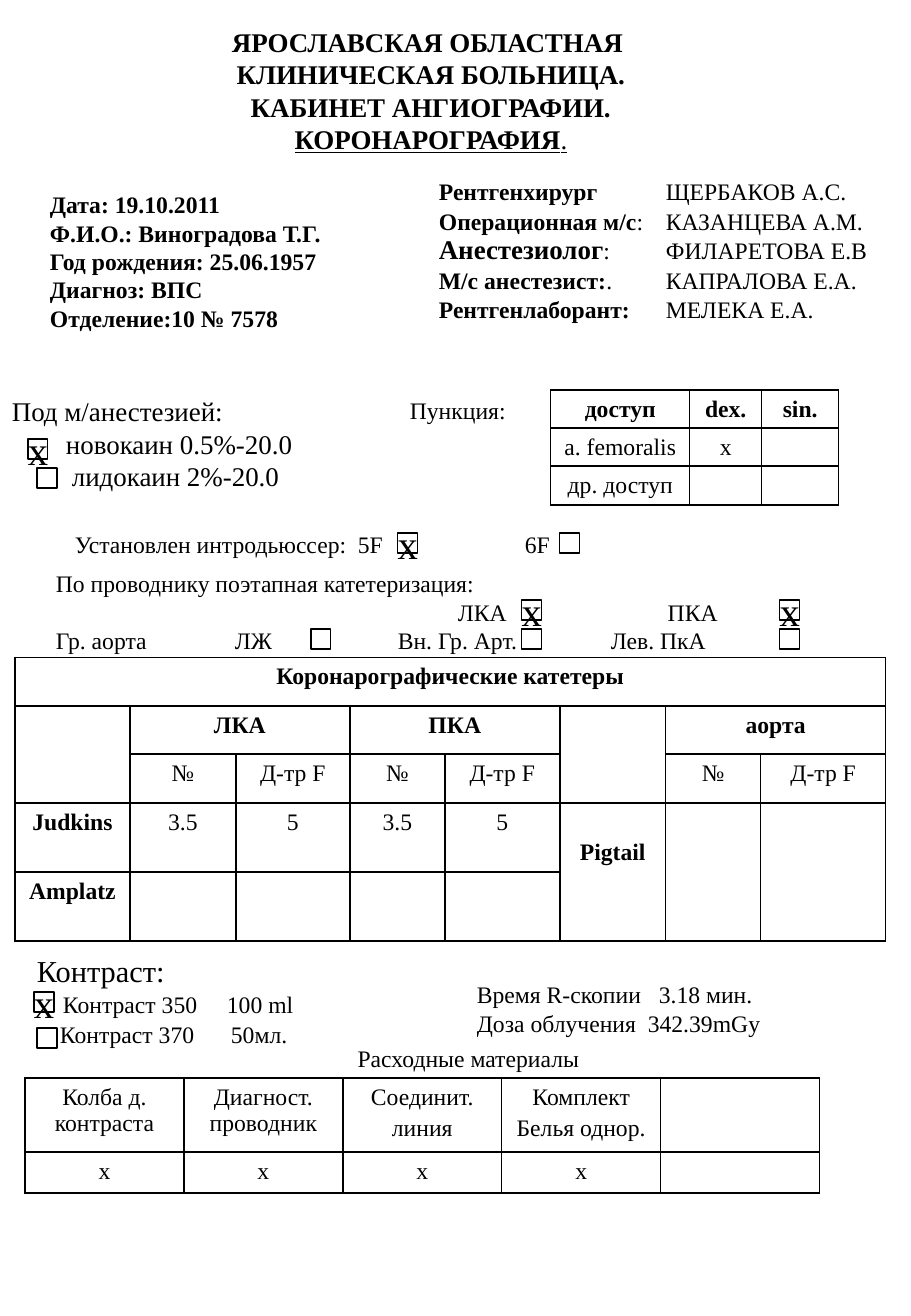
from lxml import etree
from pptx import Presentation
from pptx import util as u
from pptx.dml.color import RGBColor
from pptx.enum import shapes, text
from pptx.oxml.ns import qn

SCALE = 7526  # EMU per px
COLORS = {"ink": "000000"}
INK = RGBColor.from_string(COLORS["ink"])
FONT = "Times New Roman"
LEFT, CENTER = text.PP_ALIGN.LEFT, text.PP_ALIGN.CENTER
TOP, MIDDLE = text.MSO_ANCHOR.TOP, text.MSO_ANCHOR.MIDDLE


def px(n):
    return u.Emu(n * SCALE)


def write(tf, lines, size=14, bold=False, align=LEFT, pitch=None, gap=0):
    """Each line is a string, or (runs of (text, bold), tab stops in px)."""
    for i, line in enumerate(lines):
        runs, stops = ([(line, None)], []) if isinstance(line, str) else line
        p = tf.paragraphs[0] if i == 0 else tf.add_paragraph()
        if stops:
            tabs = etree.SubElement(p._p.get_or_add_pPr(), qn("a:tabLst"))
            for stop in stops:
                etree.SubElement(tabs, qn("a:tab"), pos=str(px(stop)), algn="l")
        p.alignment = align
        if pitch:
            p.line_spacing = u.Pt(round(size * pitch, 1))
        if gap and i:
            p.space_before = u.Pt(gap)
        p.font.name, p.font.size, p.font.bold = FONT, u.Pt(size), bold
        p.font.color.rgb = INK
        for content, run_bold in runs:
            if content:
                r = p.add_run()
                r.text = content
                if run_bold is not None:
                    r.font.bold = run_bold
            else:
                etree.SubElement(p._p, qn("a:endParaRPr"), sz=str(size * 100))


prs = Presentation()
prs.slide_width, prs.slide_height = u.Inches(7.5), u.Inches(10.83)
s = prs.slides.add_slide(prs.slide_layouts[6])

# Text blocks: left, top, width, height, anchor, text options, lines
staff = [("Рентгенхирург", "", "ЩЕРБАКОВ А.С."),
         ("Операционная м/с", ":", "КАЗАНЦЕВА А.М."),
         ("Анестезиолог", ":", "ФИЛАРЕТОВА Е.В"),
         ("М/с анестезист:", ".", "КАПРАЛОВА Е.А."),
         ("Рентгенлаборант:", "", "МЕЛЕКА Е.А.")]
staff_lines = [([(role, True), (f"{mark}\t{name}", False)], [227])
               for role, mark, name in staff]
blocks = {
    "title": (21, 0, 820, 180, MIDDLE, dict(size=16, bold=True, align=CENTER, pitch=1.2),
              ["ЯРОСЛАВСКАЯ ОБЛАСТНАЯ ", "КЛИНИЧЕСКАЯ БОЛЬНИЦА.", "КАБИНЕТ АНГИОГРАФИИ.",
               ([("КОРОНАРОГРАФИЯ", None), (".", False)], [])]),
    "patient": (38, 146, 373, 230, MIDDLE, dict(bold=True, pitch=1.2),
                ["Дата: 19.10.2011", "Ф.И.О.: Виноградова Т.Г.", "Год рождения: 25.06.1957",
                 "Диагноз: ВПС", "Отделение:10 № 7578"]),
    "staff": (427, 170, 456, 159, TOP, dict(pitch=1.25), staff_lines),
    "anesthesia": (0, 389, 416, 110, TOP, dict(size=16, pitch=1.2),
                   ["Под м/анестезией:",
                    ([("\tновокаин 0.5%-20.0", None)], [54]),
                    ([("\tлидокаин 2%-20.0", None)], [60])]),
    "puncture": (398, 390, 120, 40, TOP, dict(pitch=1.2), ["Пункция:"]),
    "introducer": (63, 524, 768, 40, TOP, dict(pitch=1.2),
                   [([("Установлен интродьюссер:\t5F\t6F", None)], [283, 450])]),
    "catheterization": (44, 563, 842, 97, TOP, dict(pitch=1.2),
                        ["По проводнику поэтапная катетеризация:",
                         ([("\tЛКА\tПКА", None)], [402, 612]),
                         ([("Гр. аорта\tЛЖ\tВн. Гр. Арт.\tЛев. ПкА", None)],
                          [179, 342, 555])]),
    "contrast": (25, 945, 452, 110, TOP, dict(pitch=1.25),
                 ["Контраст:",
                  ([("\tКонтраст 350\t100 ml", None)], [26, 190]),
                  ([("\tКонтраст 370\t50мл.", None)], [23, 194])]),
    "dose": (465, 974, 379, 69, TOP, dict(pitch=1.2),
             [([("Время R-скопии\t3.18 мин.", None)], [182]),
              ([("Доза облучения\t342.39mGy", None)], [171])]),
    "supplies": (57, 1038, 823, 40, TOP, dict(align=CENTER, pitch=1.2),
                 ["Расходные материалы"]),
}
frames = {}
for name, (x, y, w, h, anchor, options, lines) in blocks.items():
    tf = s.shapes.add_textbox(px(x), px(y), px(w), px(h)).text_frame
    tf.word_wrap = True
    tf.vertical_anchor = anchor
    write(tf, lines, **options)
    frames[name] = tf

# Emphasis inside the blocks
for r in frames["title"].paragraphs[3].runs:
    r.font.underline = True
frames["staff"].paragraphs[2].runs[0].font.size = u.Pt(16)
heading = frames["contrast"].paragraphs[0]
heading.font.size, heading.line_spacing = u.Pt(18), u.Pt(22.5)

# Tables
BOLD = {"доступ", "dex.", "sin.", "Коронарографические катетеры", "ЛКА", "ПКА",
        "аорта", "Judkins", "Amplatz", "Pigtail"}
tables = [
    # Access
    dict(at=(551, 390), cols=[139, 72, 77], rows=[38, 38, 39], outer=0.75, merges=[],
         cells=[["доступ", "dex.", "sin."],
                ["a. femoralis", "х", ""],
                ["др. доступ", "", ""]]),
    # Coronary catheters
    dict(at=(15, 657), cols=[115, 106, 114, 95, 115, 106, 95, 125],
         rows=[49, 48, 49, 69, 69], outer=0.75,
         merges=[(0, 0, 0, 7), (1, 0, 2, 0), (1, 1, 1, 2), (1, 3, 1, 4), (1, 5, 2, 5),
                 (1, 6, 1, 7), (3, 5, 4, 5), (3, 6, 4, 6), (3, 7, 4, 7)],
         cells=[["Коронарографические катетеры"] + [""] * 7,
                ["", "ЛКА", "", "ПКА", "", "", "аорта", ""],
                ["", "№", "Д-тр F", "№", "Д-тр F", "", "№", "Д-тр F"],
                ["Judkins", "3.5", "5", "3.5", "5", "Pigtail", "", ""],
                ["Amplatz"] + [""] * 7]),
    # Supplies
    dict(at=(25, 1078), cols=[159] * 5, rows=[74, 41], outer=1, merges=[],
         cells=[["Колба д. контраста", "Диагност. проводник", "Соединит.\nлиния",
                 "Комплект\nБелья однор.", ""],
                ["х"] * 4 + [""]]),
]
for t in tables:
    cols, rows = t["cols"], t["rows"]
    table = s.shapes.add_table(len(rows), len(cols), *map(px, t["at"]),
                               px(sum(cols)), px(sum(rows))).table
    table.first_row = table.horz_banding = False
    for col, w in zip(table.columns, cols):
        col.width = px(w)
    for row, h in zip(table.rows, rows):
        row.height = px(h)
    for r1, c1, r2, c2 in t["merges"]:
        table.cell(r1, c1).merge(table.cell(r2, c2))
    for i, row in enumerate(t["cells"]):
        for j, label in enumerate(row):
            cell = table.cell(i, j)
            cell.margin_top = px(36 if label == "Pigtail" else 6)
            cell.margin_bottom = px(3)
            write(cell.text_frame, label.split("\n"), bold=label in BOLD,
                  align=CENTER, gap=2.8)
            edges = {"L": j == 0, "R": j == len(cols) - 1,
                     "T": i == 0, "B": i == len(rows) - 1}
            tcPr = cell._tc.get_or_add_tcPr()
            for side, on_edge in edges.items():
                width = u.Pt(t["outer"] if on_edge else 1)
                ln = etree.SubElement(tcPr, qn(f"a:ln{side}"), w=str(width))
                fill = etree.SubElement(ln, qn("a:solidFill"))
                etree.SubElement(fill, qn("a:srgbClr"), val=COLORS["ink"])
            cell.fill.background()

# Checkboxes: left, top, ticked
checkboxes = [(28, 439, True), (37, 468, False),
              (398, 533, True), (560, 533, False),
              (522, 600, True), (780, 600, True),
              (311, 629, False), (522, 629, False), (780, 629, False),
              (34, 992, True), (37, 1028, False)]
for x, y, ticked in checkboxes:
    sp = s.shapes.add_shape(shapes.MSO_SHAPE.RECTANGLE, px(x), px(y), px(20), px(20))
    sp.shadow.inherit = False
    sp.fill.background()
    sp.line.color.rgb = INK
    sp.line.width = u.Pt(0.75)
    if ticked:
        tf = sp.text_frame
        tf.word_wrap = False
        tf.vertical_anchor = MIDDLE
        write(tf, ["х"], size=24, align=CENTER)
        tf.paragraphs[0].runs[0].font.color.rgb = INK

prs.save("out.pptx")
